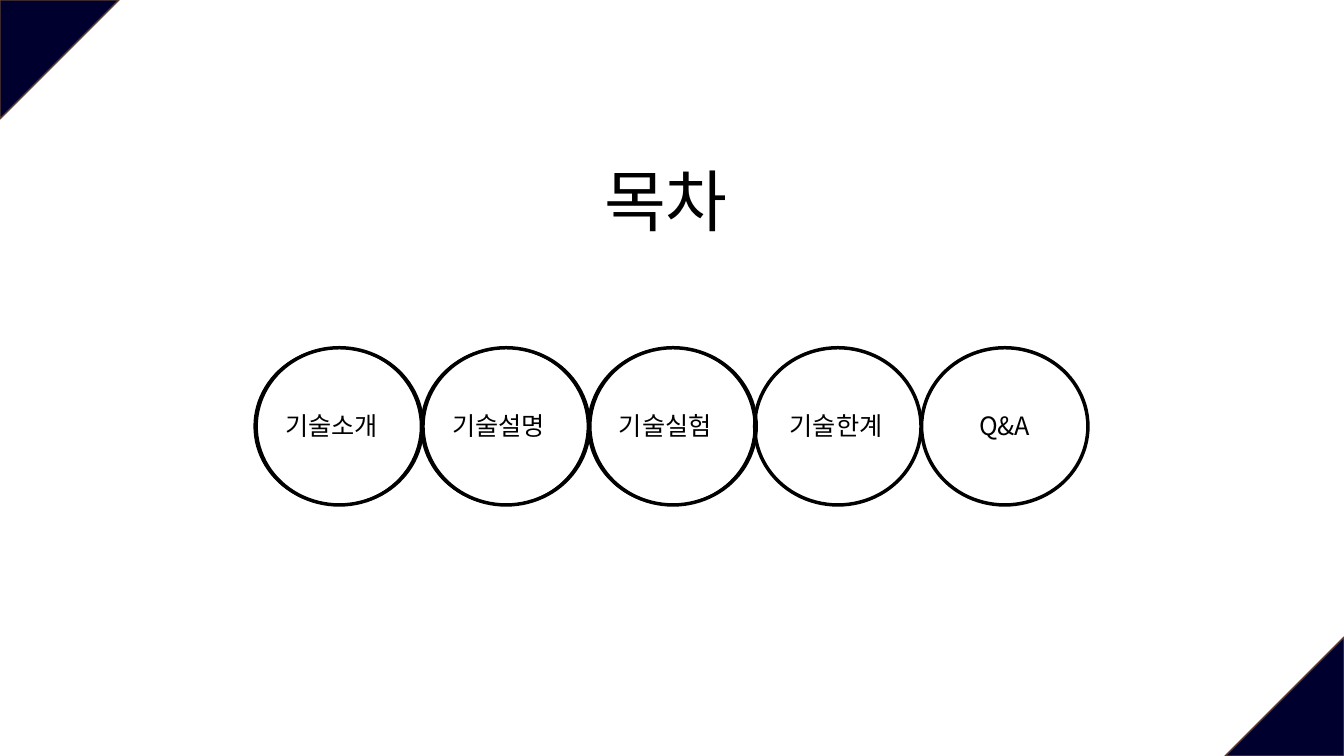
from dataclasses import dataclass

from lxml import etree
from pptx import Presentation
from pptx.dml.color import RGBColor
from pptx.enum.shapes import MSO_SHAPE
from pptx.enum.text import MSO_AUTO_SIZE, PP_ALIGN
from pptx.oxml.ns import qn
from pptx.util import Inches, Pt

TRIANGLE = MSO_SHAPE.ISOSCELES_TRIANGLE
OVAL = MSO_SHAPE.OVAL
LEFT, CENTER = PP_ALIGN.LEFT, PP_ALIGN.CENTER
GROW = MSO_AUTO_SIZE.SHAPE_TO_FIT_TEXT

SLIDE_W, SLIDE_H = 13.33, 7.5
CORNER = 1.18
RING_LEFT, RING_TOP, RING_W, RING_H = 2.52, 3.45, 1.65, 1.56
RING_PITCH = 1.655
DOUBLE_SHIFT = 0.02
LABEL_INSET, LABEL_TOP, LABEL_W, LABEL_H = 0.21, 4.02, 1.23, 0.4

# label, whether its ring is doubled, alignment, extra shift of the label
TOPICS = [
    ("기술소개", True, LEFT, 0),
    ("기술설명", True, LEFT, 0),
    ("기술실험", True, LEFT, 0),
    ("기술한계", False, LEFT, 0.04),
    ("Q&A", False, CENTER, 0),
]


@dataclass(frozen=True)
class Theme:
    font: str = "Noto Sans CJK KR"
    ink: RGBColor = RGBColor(0x00, 0x00, 0x00)
    navy: RGBColor = RGBColor(0x00, 0x00, 0x2F)
    corner_edge: RGBColor = RGBColor(0x5B, 0x3F, 0x33)
    title_size: float = 48
    label_size: float = 18
    thin: float = 1
    thick: float = 2.5


class SlideBuilder:
    def __init__(self, slide, theme):
        self.slide = slide
        self.theme = theme

    def outlined(self, kind, left, top, width, height, color, weight):
        shape = self.slide.shapes.add_shape(
            kind, Inches(left), Inches(top), Inches(width), Inches(height))
        shape.shadow.inherit = False
        shape.line.color.rgb = color
        shape.line.width = Pt(weight)
        return shape

    def corner(self, left, top, rotation):
        triangle = self.outlined(TRIANGLE, left, top, CORNER, CORNER,
                                 self.theme.corner_edge, self.theme.thin)
        triangle.adjustments[0] = 0
        triangle.rotation = rotation
        triangle.fill.solid()
        triangle.fill.fore_color.rgb = self.theme.navy

    def ring(self, left, weight):
        ring = self.outlined(OVAL, left, RING_TOP, RING_W, RING_H,
                             self.theme.ink, weight)
        ring.fill.background()

    def text(self, wording, left, top, width, height, size, align):
        box = self.slide.shapes.add_textbox(
            Inches(left), Inches(top), Inches(width), Inches(height))
        frame = box.text_frame
        frame.word_wrap = True
        frame.auto_size = GROW
        paragraph = frame.paragraphs[0]
        paragraph.alignment = align
        run = paragraph.add_run()
        run.text = wording
        run.font.size = Pt(size)
        run.font.color.rgb = self.theme.ink
        run.font.name = self.theme.font
        # Hangul takes its typeface from the East Asian font
        east_asian = etree.SubElement(run.font._element, qn("a:ea"))
        east_asian.set("typeface", self.theme.font)


def main():
    deck = Presentation()
    deck.slide_width, deck.slide_height = Inches(SLIDE_W), Inches(SLIDE_H)
    theme = Theme()
    page = SlideBuilder(deck.slides.add_slide(deck.slide_layouts[6]), theme)

    page.corner(0, 0, 90)
    page.corner(SLIDE_W - CORNER, SLIDE_H - CORNER, 270)

    for index, (label, doubled, align, shift) in enumerate(TOPICS):
        left = RING_LEFT + index * RING_PITCH
        if doubled:
            page.ring(left, theme.thin)
            page.ring(left + DOUBLE_SHIFT, theme.thick)
        else:
            page.ring(left, theme.thick)
        page.text(label, left + LABEL_INSET + shift, LABEL_TOP,
                  LABEL_W, LABEL_H, theme.label_size, align)

    page.text("목차", 4.56, 1.53, 4.09, 0.91, theme.title_size, CENTER)
    deck.save("out.pptx")


if __name__ == "__main__":
    main()
